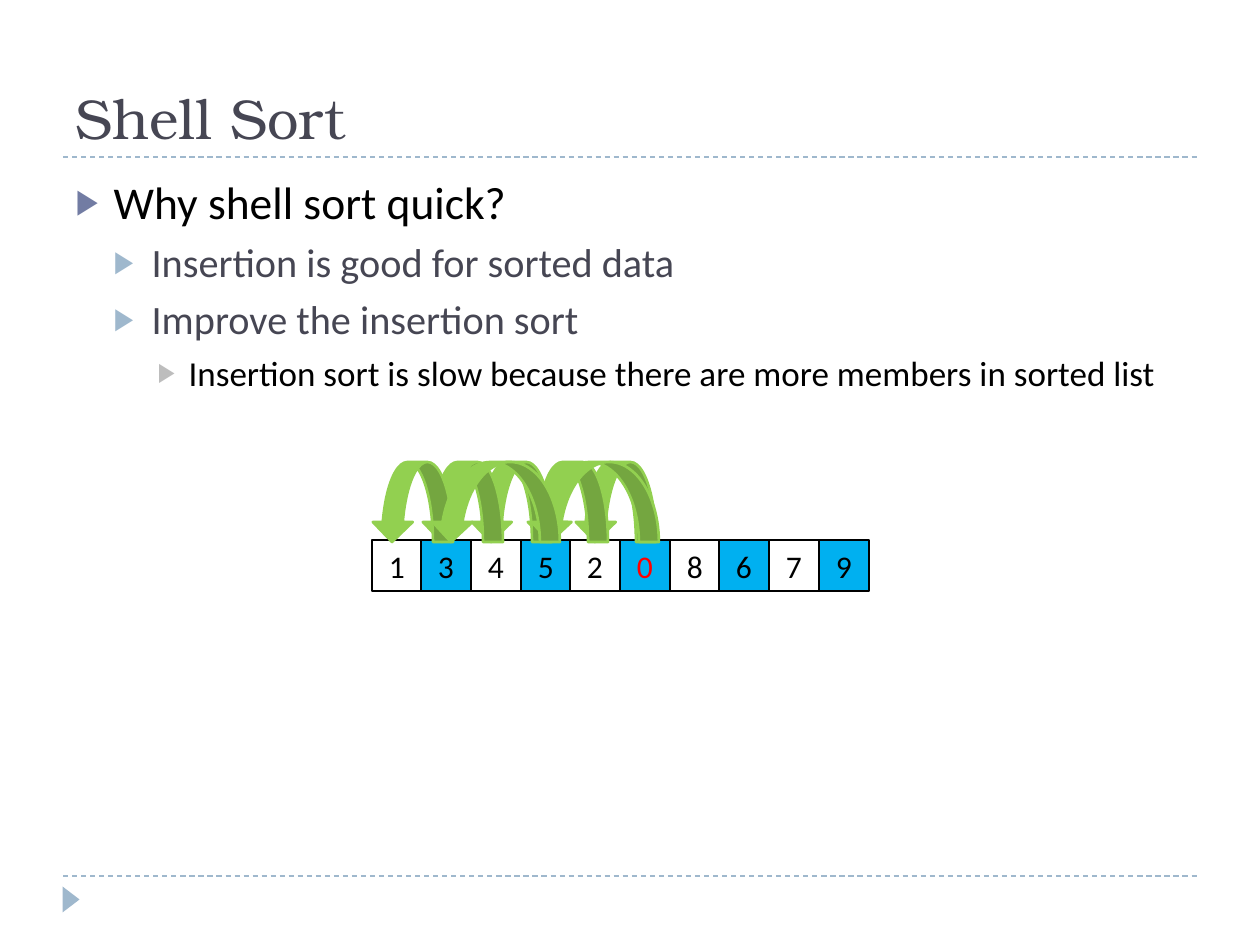
"""Build the Shell Sort slide with its list, number cells and jump arrows."""
from lxml import etree
from pptx import Presentation
from pptx import util as u
from pptx.dml.color import RGBColor
from pptx.enum import dml, shapes, text
from pptx.oxml.ns import qn

PX = u.Inches(1) / 126
BLACK = RGBColor(0x00, 0x00, 0x00)
WHITE = RGBColor(0xFF, 0xFF, 0xFF)
RED = RGBColor(0xFF, 0x00, 0x00)
SLATE = RGBColor(0x46, 0x46, 0x53)
INDIGO = RGBColor(0x72, 0x7C, 0xA3)
MIST = RGBColor(0x9F, 0xB8, 0xCD)
GREY = RGBColor(0xBD, 0xBD, 0xBD)
BLUE = RGBColor(0x00, 0xB0, 0xF0)
GREEN = RGBColor(0x92, 0xD0, 0x50)


def px(*sizes):
    return [u.Emu(round(size * PX)) for size in sizes]


def draw(kind, box, fill, edge=None, width=0.75):
    shape = slide.shapes.add_shape(kind, *px(*box))
    shape.shadow.inherit = False
    shape.fill.solid()
    shape.fill.fore_color.rgb = fill
    if edge is None:
        shape.line.fill.background()
    else:
        shape.line.color.rgb = edge
        shape.line.width = u.Pt(width)
    return shape


deck = Presentation()
deck.slide_width, deck.slide_height = px(1260, 945)
slide = deck.slides.add_slide(deck.slide_layouts[1])

for y in (876, 157):
    rule = slide.shapes.add_connector(
        shapes.MSO_CONNECTOR.STRAIGHT, *px(63, y, 1197, y))
    rule.line.color.rgb = MIST
    rule.line.width = u.Pt(0.75)
    rule.line.dash_style = dml.MSO_LINE.DASH
    etree.SubElement(rule._element.spPr, qn("a:effectLst"))

mark = draw(shapes.MSO_SHAPE.ISOSCELES_TRIANGLE, (58, 891, 26, 17), MIST)
mark.rotation = 90

title = slide.shapes.title
title.left, title.top, title.width, title.height = px(63, 21, 1134, 136)
title.text_frame.text = "Shell Sort"
title.text_frame.vertical_anchor = text.MSO_ANCHOR.BOTTOM
head = title.text_frame.paragraphs[0]
head.alignment = text.PP_ALIGN.LEFT
head.font.name = "TeX Gyre Bonum"
head.font.size = u.Pt(32)
head.font.color.rgb = SLATE

body = slide.placeholders[1]
body.left, body.top, body.width, body.height = px(63, 168, 1134, 680)
frame = body.text_frame
levels = [
    (26, BLACK, INDIGO, 6, 38, 38),
    (23, SLATE, MIST, 5, 76, 38),
    (20, BLACK, GREY, 5, 113, 31),
]
items = [
    (0, "Why shell sort quick?"),
    (1, "Insertion is good for sorted data"),
    (1, "Improve the insertion sort"),
    (2, "Insertion sort is slow because there are more members in sorted list"),
]
for i, (level, words) in enumerate(items):
    size, ink, dot, gap, left, hang = levels[level]
    para = frame.add_paragraph() if i else frame.paragraphs[0]
    para.text = words
    para.level = level
    para.space_before = u.Pt(gap)
    props = para._p.get_or_add_pPr()
    margin, indent = px(left, -hang)
    props.set("marL", str(margin))
    props.set("indent", str(indent))
    tint = etree.SubElement(props, qn("a:buClr"))
    etree.SubElement(tint, qn("a:srgbClr"), val=str(dot))
    etree.SubElement(props, qn("a:buSzPct"), val="76000")
    etree.SubElement(props, qn("a:buChar"), char="▶")
    para.font.name = "Calibri"
    para.font.size = u.Pt(size)
    para.font.color.rgb = ink

for i, digit in enumerate("1345208679"):
    box = (372 + i * 497 // 10, 540, 50, 51)
    cell = draw(shapes.MSO_SHAPE.RECTANGLE, box, BLUE if i % 2 else WHITE, BLACK)
    cell.text_frame.text = digit
    para = cell.text_frame.paragraphs[0]
    para.alignment = text.PP_ALIGN.CENTER
    para.font.name = "Calibri"
    para.font.size = u.Pt(18)
    para.font.color.rgb = RED if digit == "0" else BLACK

jumps = [(575, 81), (527, 81), (471, 81), (422, 81), (372, 81),
         (530, 129), (431, 129)]
for left, width in jumps:
    box = (left, 462, width, 80)
    jump = draw(shapes.MSO_SHAPE.CURVED_DOWN_ARROW, box, GREEN, GREEN, 1.5)
    jump._element.spPr.get_or_add_xfrm().set("flipH", "1")

deck.save("out.pptx")
